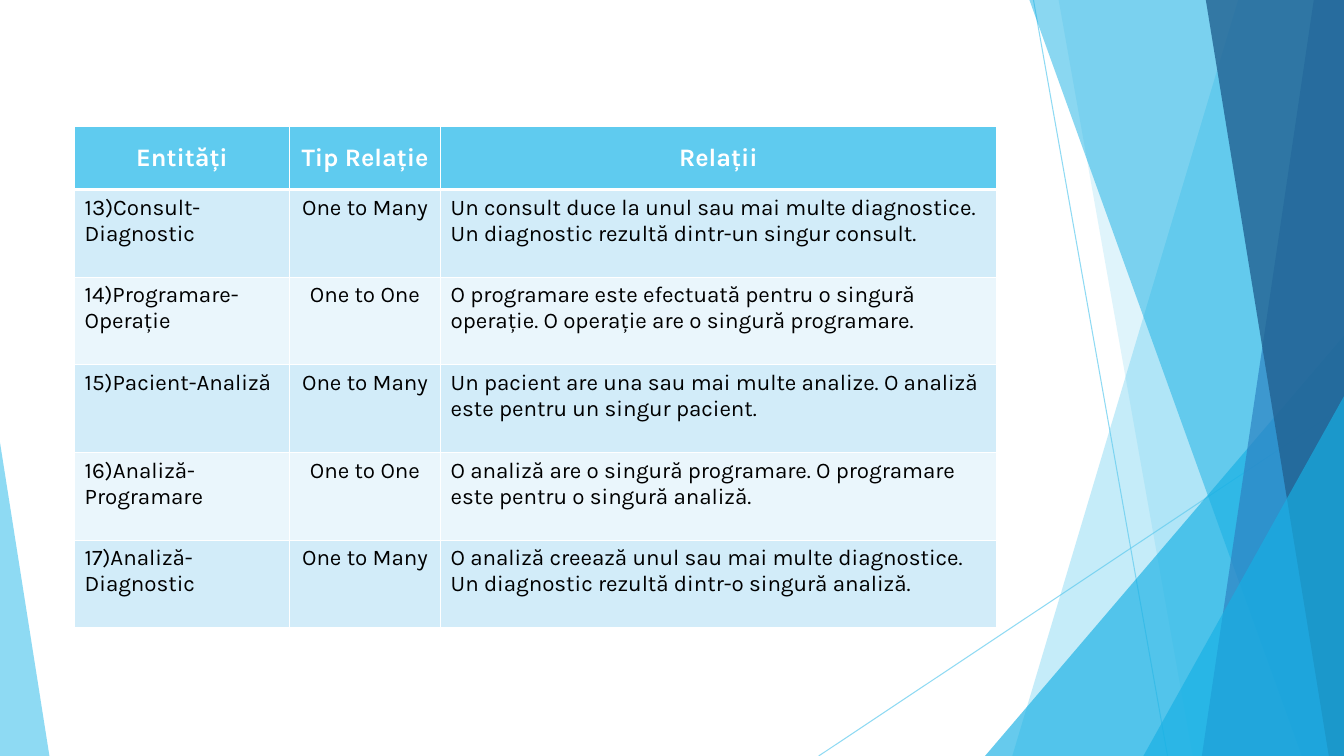
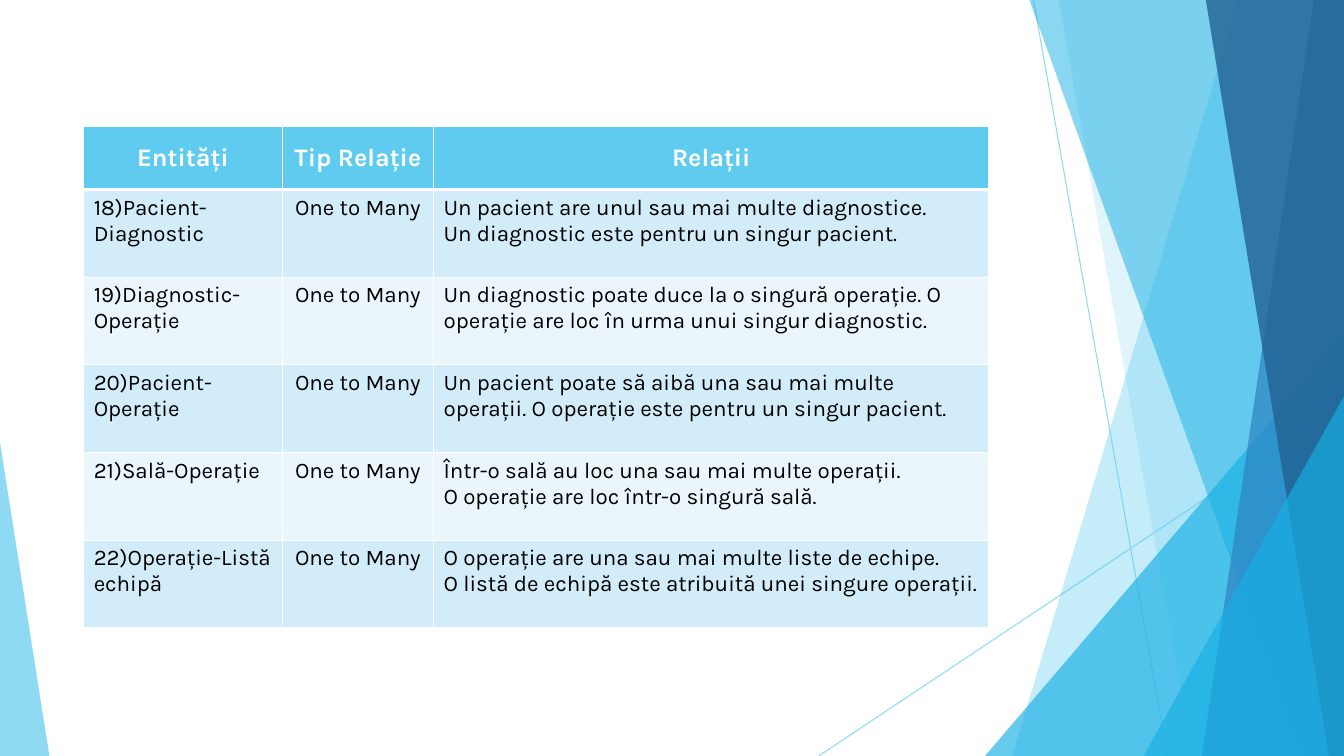
from dataclasses import dataclass

from lxml.etree import SubElement
from pptx import Presentation
from pptx.dml.color import RGBColor
from pptx.enum.shapes import MSO_CONNECTOR, MSO_SHAPE
from pptx.enum.text import MSO_ANCHOR, PP_ALIGN
from pptx.oxml import parse_xml
from pptx.oxml.ns import nsdecls, qn
from pptx.util import Pt

PX = 9144
WIDTH, HEIGHT = 1333, 750


@dataclass(frozen=True)
class Theme:
    font: str = "Karla"
    sky: str = "5FCBEF"
    cyan: str = "17B0E4"
    blue: str = "2E83C3"
    navy: str = "226292"
    white: str = "FFFFFF"
    black: str = "000000"
    row_fills: tuple = ("D2ECF9", "EAF6FC")
    header_size: int = 18
    body_size: int = 16
    hairline: float = 0.75
    border: int = 1
    header_rule: int = 3


def write_text(text_frame, text, *, font, size, color, bold=False, align=PP_ALIGN.LEFT):
    text_frame.text = text
    for paragraph in text_frame.paragraphs:
        paragraph.alignment = align
        for run in paragraph.runs:
            run.font.name = font
            run.font.size = Pt(size)
            run.font.bold = bold
            run.font.color.rgb = RGBColor.from_string(color)


def set_opacity(shape, percent):
    for color in shape.element.iter(qn("a:srgbClr")):
        SubElement(color, qn("a:alpha"), val=str(percent * 1000))


def set_borders(cell, color, widths):
    properties = cell._tc.get_or_add_tcPr()
    for index, (side, width) in enumerate(zip("LRTB", widths)):
        border = parse_xml(
            f'<a:ln{side} {nsdecls("a")} w="{Pt(width)}"><a:solidFill>'
            f'<a:srgbClr val="{color}"/></a:solidFill></a:ln{side}>'
        )
        properties.insert(index, border)


class Deck:
    def __init__(self, theme):
        self.theme = theme
        self.presentation = Presentation()
        self.presentation.slide_width = WIDTH * PX
        self.presentation.slide_height = HEIGHT * PX
        self.layout = self.presentation.slide_layouts[6]
        for placeholder in list(self.layout.placeholders):
            self.layout.shapes.element.remove(placeholder.element)
        self.slide = None

    def add_slide(self):
        self.slide = self.presentation.slides.add_slide(self.layout)

    def move_shapes_to_layout(self):
        for shape in list(self.slide.shapes):
            self.layout.shapes.element.append(shape.element)

    def line(self, start, end, color, opacity):
        ends = [value * PX for value in (*start, *end)]
        connector = self.slide.shapes.add_connector(MSO_CONNECTOR.STRAIGHT, *ends)
        connector.line.color.rgb = RGBColor.from_string(color)
        connector.line.width = Pt(self.theme.hairline)
        SubElement(connector.element.spPr, qn("a:effectLst"))
        set_opacity(connector, opacity)

    def paint(self, shape, color, opacity):
        shape.shadow.inherit = False
        shape.fill.solid()
        shape.fill.fore_color.rgb = RGBColor.from_string(color)
        shape.line.fill.background()
        set_opacity(shape, opacity)

    def edge_band(self, top_x, bottom_x, color, opacity):
        builder = self.slide.shapes.build_freeform(top_x, 0, scale=PX)
        builder.add_line_segments([(WIDTH, 0), (WIDTH, HEIGHT), (bottom_x, HEIGHT)])
        self.paint(builder.convert_to_shape(), color, opacity)

    def corner_triangle(self, left, top, width, apex, color, opacity):
        box = [value * PX for value in (left, top, width, HEIGHT - top)]
        triangle = self.slide.shapes.add_shape(MSO_SHAPE.ISOSCELES_TRIANGLE, *box)
        triangle.adjustments[0] = apex
        self.paint(triangle, color, opacity)

    def backdrop(self):
        theme = self.theme
        self.line((1025, 0), (1158, HEIGHT), theme.sky, 70)
        self.line((WIDTH, 403), (812, HEIGHT), theme.sky, 70)
        self.edge_band(1228, 1004, theme.sky, 36)
        self.edge_band(1050, 1183, theme.sky, 20)
        self.corner_triangle(977, 333, 356, 1, theme.cyan, 66)
        self.edge_band(1021, 1291, theme.cyan, 50)
        self.edge_band(1303, 1192, theme.blue, 70)
        self.edge_band(1196, 1318, theme.navy, 80)
        self.corner_triangle(1134, 393, 199, 1, theme.cyan, 66)
        self.corner_triangle(0, 439, 49, 0, theme.sky, 70)

    def cell(self, cell, text, row, centered):
        theme = self.theme
        header = row == 0
        cell.fill.solid()
        fill = theme.sky if header else theme.row_fills[(row - 1) % 2]
        cell.fill.fore_color.rgb = RGBColor.from_string(fill)
        cell.vertical_anchor = MSO_ANCHOR.MIDDLE if header else MSO_ANCHOR.TOP
        write_text(
            cell.text_frame,
            text,
            font=theme.font,
            size=theme.header_size if header else theme.body_size,
            color=theme.white if header else theme.black,
            bold=header,
            align=PP_ALIGN.CENTER if centered else PP_ALIGN.LEFT,
        )
        top = theme.header_rule if row == 1 else theme.border
        bottom = theme.header_rule if header else theme.border
        set_borders(cell, theme.white, (theme.border, theme.border, top, bottom))

    def table(self, left, top, column_widths, row_heights, rows):
        box = [value * PX for value in (left, top, sum(column_widths), sum(row_heights))]
        frame = self.slide.shapes.add_table(len(rows), len(column_widths), *box)
        table = frame.table
        for column, width in zip(table.columns, column_widths):
            column.width = width * PX
        for table_row, height in zip(table.rows, row_heights):
            table_row.height = height * PX
        for row, texts in enumerate(rows):
            for column, text in enumerate(texts):
                centered = row == 0 or column == 1
                self.cell(table.cell(row, column), text, row, centered)


HEADER = ("Entități", "Tip Relație", "Relații")
ONE_TO_MANY = "One to Many"
ONE_TO_ONE = "One to One"
ROW_HEIGHTS = (63, 87, 87, 87, 87, 87)
TABLE_TOP = 125

RELATION_TABLES = (
    (74, 213, (
        ("13)Consult-Diagnostic", ONE_TO_MANY,
         "Un consult duce la unul sau mai multe diagnostice. "
         "Un diagnostic rezultă dintr-un singur consult."),
        ("14)Programare-Operație", ONE_TO_ONE,
         "O programare este efectuată pentru o singură operație. "
         "O operație are o singură programare."),
        ("15)Pacient-Analiză", ONE_TO_MANY,
         "Un pacient are una sau mai multe analize. "
         "O analiză este pentru un singur pacient."),
        ("16)Analiză-Programare", ONE_TO_ONE,
         "O analiză are o singură programare. "
         "O programare este pentru o singură analiză."),
        ("17)Analiză-Diagnostic", ONE_TO_MANY,
         "O analiză creează unul sau mai multe diagnostice.\n"
         "Un diagnostic rezultă dintr-o singură analiză."),
    )),
    (83, 197, (
        ("18)Pacient-Diagnostic", ONE_TO_MANY,
         "Un pacient are unul sau mai multe diagnostice.\n"
         "Un diagnostic este pentru un singur pacient."),
        ("19)Diagnostic-Operație", ONE_TO_MANY,
         "Un diagnostic poate duce la o singură operație. "
         "O operație are loc în urma unui singur diagnostic."),
        ("20)Pacient-Operație", ONE_TO_MANY,
         "Un pacient poate să aibă una sau mai multe operații. "
         "O operație este pentru un singur pacient."),
        ("21)Sală-Operație", ONE_TO_MANY,
         "Într-o sală au loc una sau mai multe operații.\n"
         "O operație are loc într-o singură sală."),
        ("22)Operație-Listă echipă", ONE_TO_MANY,
         "O operație are una sau mai multe liste de echipe.\n"
         "O listă de echipă este atribuită unei singure operații."),
    )),
)


def main():
    deck = Deck(Theme())
    for number, (left, entity_width, relations) in enumerate(RELATION_TABLES):
        deck.add_slide()
        if number == 0:
            deck.backdrop()
            deck.move_shapes_to_layout()
        column_widths = (entity_width, 150, 551)
        deck.table(left, TABLE_TOP, column_widths, ROW_HEIGHTS, (HEADER, *relations))
    deck.presentation.save("out.pptx")


if __name__ == "__main__":
    main()
